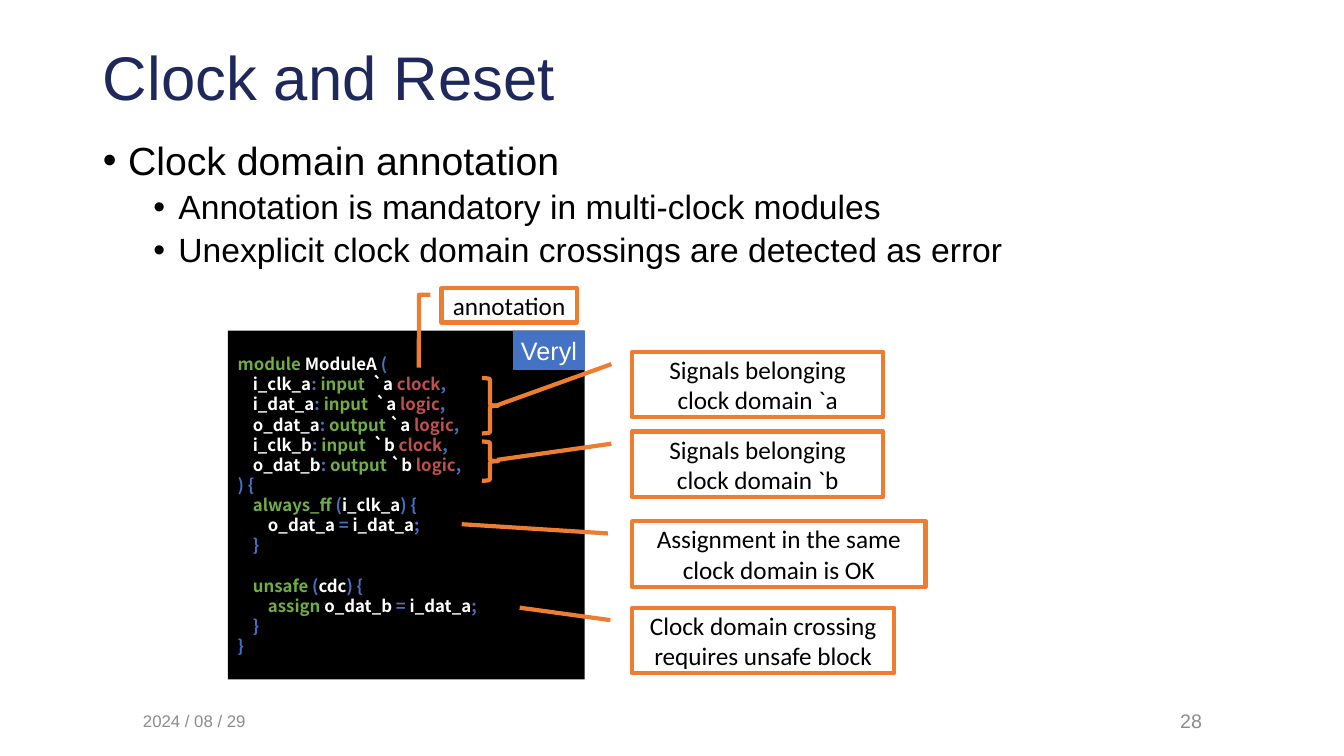
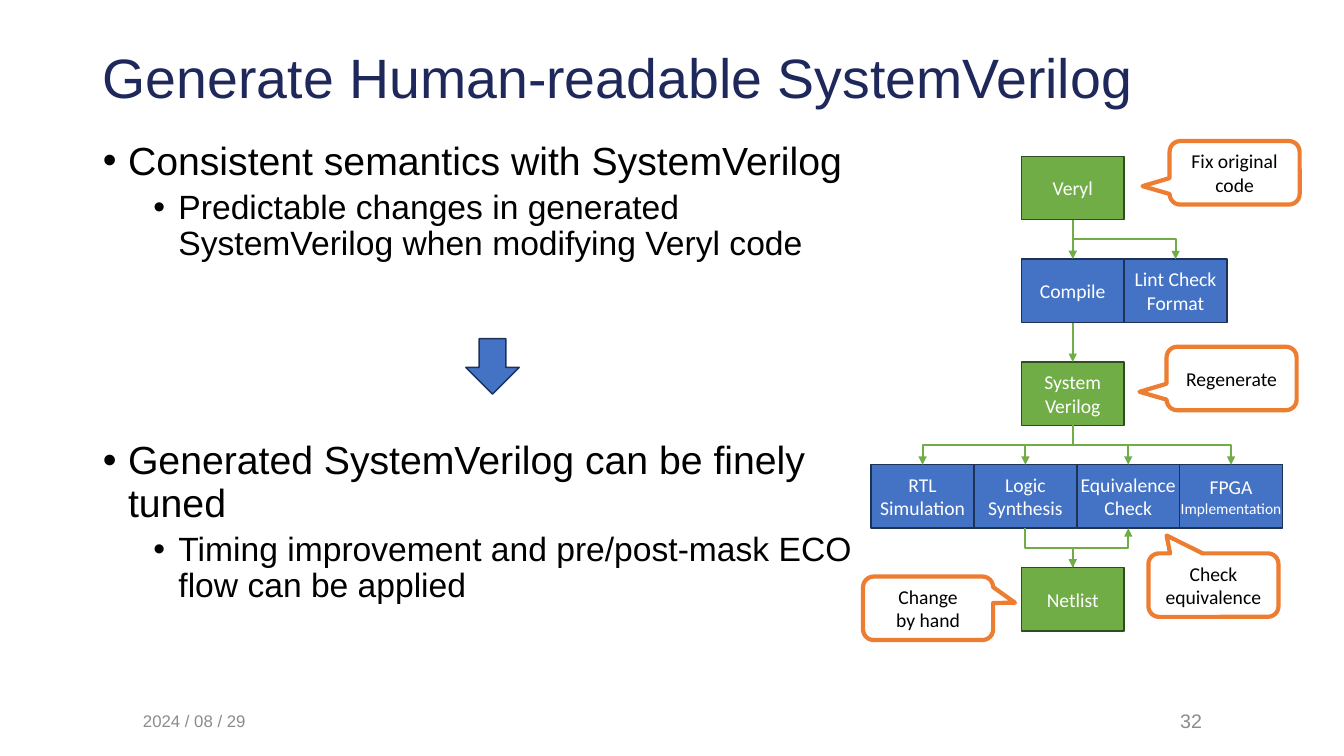
"""Build two slides on a hardware language: clock domains and generated code."""
from lxml import etree
from pptx import Presentation
from pptx.dml.color import RGBColor
from pptx.enum.shapes import MSO_CONNECTOR as CONN, MSO_SHAPE as SHAPE
from pptx.enum.text import MSO_ANCHOR as ANCHOR, MSO_AUTO_SIZE as AUTO, PP_ALIGN as ALIGN
from pptx.oxml.ns import qn
from pptx.util import Inches, Pt

NAVY = RGBColor(0x1E, 0x28, 0x5B)
BLACK = RGBColor(0, 0, 0)
WHITE = RGBColor(0xFF, 0xFF, 0xFF)
GRAY = RGBColor(0x8C, 0x8C, 0x8C)
BLUE = RGBColor(0x44, 0x72, 0xC4)
DARK_BLUE = RGBColor(0x1E, 0x32, 0x56)
GREEN = RGBColor(0x70, 0xAD, 0x47)
DARK_GREEN = RGBColor(0x31, 0x4C, 0x1F)
ORANGE = RGBColor(0xED, 0x7D, 0x31)
RED = RGBColor(0xC0, 0x50, 0x4D)

HEAD_FONT, LABEL_FONT, CODE_FONT = "Arial", "Calibri", "Noto Sans CJK JP"
DATE = "2024 / 08 / 29"
NODE_W, NODE_H, PITCH = 1.02, 0.63, 1.02
MAIN_X, STAGE_X, FLOW_Y = 10.13, 8.64, 1.55

PORTS = [("i_clk_a", "input  ", "`a ", "clock"),
         ("i_dat_a", "input  ", "`a ", "logic"),
         ("o_dat_a", "output ", "`a ", "logic"),
         ("i_clk_b", "input  ", "`b ", "clock"),
         ("o_dat_b", "output ", "`b ", "logic")]

CODE = [
    (0, 0, [("module ", GREEN), ("ModuleA ", WHITE), ("(", BLUE)]),
    *[(1, 0, [(name, WHITE), (": ", BLUE), (way, GREEN), (domain, WHITE),
              (kind, RED), (",", BLUE)]) for name, way, domain, kind in PORTS],
    (0, 0, [(") {", BLUE)]),
    (1, 0, [("always_ff ", GREEN), ("(", BLUE), ("i_clk_a", WHITE), (") {", BLUE)]),
    (2, 0, [("o_dat_a ", WHITE), ("= ", BLUE), ("i_dat_a", WHITE), (";", BLUE)]),
    (1, 0, [("}", BLUE)]),
    (1, 14.4, [("unsafe ", GREEN), ("(", BLUE), ("cdc", WHITE), (") {", BLUE)]),
    (2, 0, [("assign ", GREEN), ("o_dat_b ", WHITE), ("= ", BLUE),
            ("i_dat_a", WHITE), (";", BLUE)]),
    (1, 0, [("}", BLUE)]),
    (0, 0, [("}", BLUE)]),
]


def add_run(p, text, font, size, color, bold=False):
    """Append one formatted run to a paragraph."""
    r = p.add_run()
    r.text = text
    r.font.name, r.font.size, r.font.bold = font, Pt(size), bold
    r.font.color.rgb = color


def next_paragraph(tf, index):
    """Return the first paragraph, or a new one after it."""
    return tf.add_paragraph() if index else tf.paragraphs[0]


def set_indent(p, left, first=0):
    """Set the left margin and first-line indent of a paragraph."""
    pPr = p._p.get_or_add_pPr()
    pPr.set("marL", str(Inches(left)))
    pPr.set("indent", str(Inches(first)))
    return pPr


def place(sp, left, top, width, height):
    """Move and size a shape, in inches."""
    sp.left, sp.top = Inches(left), Inches(top)
    sp.width, sp.height = Inches(width), Inches(height)


def add_footer(slide, left, text, size, align):
    """Add one gray footer text."""
    box = slide.shapes.add_textbox(Inches(left), Inches(6.95), Inches(2.6), Inches(0.4))
    tf = box.text_frame
    tf.word_wrap, tf.vertical_anchor = True, ANCHOR.MIDDLE
    p = tf.paragraphs[0]
    p.alignment = align
    add_run(p, text, HEAD_FONT, size, GRAY)


def add_slide(prs, title, title_size, bullets, body_width, number):
    """Add a slide with title, bullet list (level, space before, text) and footers."""
    slide = prs.slides.add_slide(prs.slide_layouts[1])
    head, body = slide.placeholders
    place(head, 0.92, 0.4, 11.5, 0.8)
    place(body, 0.92, 1.35, body_width, 5.41)
    for sp in (head, body):
        sp.text_frame.auto_size = AUTO.NONE
        sp.text_frame.word_wrap = True
    head.text_frame.vertical_anchor = ANCHOR.MIDDLE
    p = head.text_frame.paragraphs[0]
    p.alignment, p.line_spacing = ALIGN.LEFT, 0.9
    add_run(p, title, HEAD_FONT, title_size, NAVY)
    for i, (level, before, text) in enumerate(bullets):
        p = next_paragraph(body.text_frame, i)
        p.level, p.line_spacing, p.space_before = level, 0.9, Pt(before)
        pPr = set_indent(p, 0.25 + 0.5 * level, -0.25)
        etree.SubElement(pPr, qn("a:buFont")).set("typeface", HEAD_FONT)
        etree.SubElement(pPr, qn("a:buChar")).set("char", "•")
        add_run(p, text, HEAD_FONT, 24 if level else 28, BLACK)
    add_footer(slide, 1.32, DATE, 12, ALIGN.LEFT)
    add_footer(slide, 9.42, number, 14, ALIGN.RIGHT)
    return slide


def add_box(slide, kind, at, fill=None, line=None, line_width=1, adjust=()):
    """Add a preset shape with optional fill, outline and adjustments."""
    sp = slide.shapes.add_shape(kind, *map(Inches, at))
    sp.shadow.inherit = False
    if fill is None:
        sp.fill.background()
    else:
        sp.fill.solid()
        sp.fill.fore_color.rgb = fill
    if line is None:
        sp.line.fill.background()
    else:
        sp.line.color.rgb, sp.line.width = line, Pt(line_width)
    for i, value in enumerate(adjust):
        sp.adjustments[i] = value
    return sp


def add_label(sp, lines, size, color, font=LABEL_FONT, wrap=False):
    """Centre text in a shape; a line is a string or a (string, size) pair."""
    tf = sp.text_frame
    tf.word_wrap, tf.vertical_anchor = wrap, ANCHOR.MIDDLE
    for i, line in enumerate(lines):
        text, line_size = (line, size) if isinstance(line, str) else line
        p = next_paragraph(tf, i)
        p.alignment = ALIGN.CENTER
        add_run(p, text, font, line_size, color)


def add_callout(slide, kind, at, adjust, lines, size, wrap=False):
    """Add a white callout with an orange outline."""
    sp = add_box(slide, kind, at, WHITE, ORANGE, 3, adjust)
    add_label(sp, lines, size, BLACK, wrap=wrap)


def add_code(slide, at):
    """Add the black panel with coloured code."""
    tf = add_box(slide, SHAPE.RECTANGLE, at, BLACK).text_frame
    tf.word_wrap, tf.vertical_anchor = True, ANCHOR.MIDDLE
    for i, (level, before, runs) in enumerate(CODE):
        p = next_paragraph(tf, i)
        p.alignment, p.space_before = ALIGN.LEFT, Pt(before)
        set_indent(p, 0.15 * level)
        for text, color in runs:
            add_run(p, text, CODE_FONT, 12, color, True)


def add_node(slide, left, row, lines, artifact=False):
    """Add a flow node: green for an artifact, blue for a tool."""
    fill, line = (GREEN, DARK_GREEN) if artifact else (BLUE, DARK_BLUE)
    at = (left, FLOW_Y + PITCH * row, NODE_W, NODE_H)
    sp = add_box(slide, SHAPE.RECTANGLE, at, fill, line)
    add_label(sp, lines, 14, WHITE)
    return sp


def style_arrow(cx):
    """Give a connector the green line and arrowhead, without shadow."""
    cx.line.color.rgb, cx.line.width = GREEN, Pt(1.5)
    etree.SubElement(cx.line._get_or_add_ln(), qn("a:tailEnd")).set("type", "triangle")
    etree.SubElement(cx._element.spPr, qn("a:effectLst"))


def add_arrow(slide, upper, lower):
    """Join two stacked nodes with a straight arrow."""
    cx = slide.shapes.add_connector(CONN.STRAIGHT, 0, 0, 0, 0)
    cx.begin_connect(upper, 2)
    cx.end_connect(lower, 0)
    style_arrow(cx)


def add_elbow(slide, source, target, upward=False):
    """Add an elbow arrow that leaves and arrives vertically."""
    x1, x2 = (sp.left + sp.width // 2 for sp in (source, target))
    if upward:
        y1, y2 = source.top, target.top + target.height
    else:
        y1, y2 = source.top + source.height, target.top
    mid_x, mid_y = (x1 + x2) // 2, (y1 + y2) // 2
    half_w, half_h = (y2 - y1) // 2, (x1 - x2) // 2
    cx = slide.shapes.add_connector(CONN.ELBOW, mid_x - half_w, mid_y - half_h,
                                    mid_x + half_w, mid_y + half_h)
    cx._element.spPr.find(qn("a:xfrm")).set("rot", "5400000")
    style_arrow(cx)


def build_clock_slide(prs):
    """Build the slide on clock domain annotation."""
    slide = add_slide(prs, "Clock and Reset", 44, [
        (0, 10, "Clock domain annotation"),
        (1, 5, "Annotation is mandatory in multi-clock modules"),
        (1, 5, "Unexplicit clock domain crossings are detected as error"),
    ], 11.5, "28")
    add_code(slide, (2.26, 3.28, 3.54, 3.46))
    tag = add_box(slide, SHAPE.RECTANGLE, (5.09, 3.28, 0.71, 0.39), BLUE)
    add_label(tag, ["Veryl"], 18, WHITE, HEAD_FONT)
    for top, height in ((3.75, 0.55), (4.38, 0.39)):
        add_box(slide, SHAPE.RIGHT_BRACE, (4.78, top, 0.16, height), None, ORANGE, 3)
    for top, width, end_y, end_x, lines in (
            (5.17, 2.91, 0.047, -0.581, ["Assignment in the same clock domain is OK"]),
            (6.03, 2.6, -0.002, -0.429, ["Clock domain crossing", "requires unsafe block"]),
            (3.49, 2.49, 0.83, -0.548, ["Signals belonging", "clock domain `a"]),
            (4.28, 2.49, 0.435, -0.539, ["Signals belonging", "clock domain `b"])):
        add_callout(slide, SHAPE.LINE_CALLOUT_1, (6.27, top, width, 0.65),
                    (0.188, -0.083, end_y, end_x), lines, 18, True)
    add_callout(slide, SHAPE.LINE_CALLOUT_2, (4.38, 2.86, 1.34, 0.34),
                (0.188, -0.083, 0.188, -0.167, 2.315, -0.169), ["annotation"], 18, True)


def build_flow_slide(prs):
    """Build the slide on the generated code and its tool flow."""
    slide = add_slide(prs, "Generate Human-readable SystemVerilog", 39.6, [
        (0, 10, "Consistent semantics with SystemVerilog"),
        (1, 5, "Predictable changes in generated SystemVerilog when modifying Veryl code"),
        (0, 127, "Generated SystemVerilog can be finely tuned"),
        (1, 5, "Timing improvement and pre/post-mask ECO flow can be applied"),
    ], 7.64, "32")
    veryl = add_node(slide, MAIN_X, 0, ["Veryl"], True)
    compiler = add_node(slide, MAIN_X, 1, ["Compile"])
    lint = add_node(slide, MAIN_X + NODE_W, 1, ["Lint Check", "Format"])
    verilog = add_node(slide, MAIN_X, 2, ["System", "Verilog"], True)
    stages = [add_node(slide, STAGE_X + NODE_W * i, 3, lines) for i, lines in enumerate((
        ["RTL", "Simulation"], ["Logic", "Synthesis"], ["Equivalence", "Check"],
        ["FPGA", ("Implementation", 11)]))]
    netlist = add_node(slide, MAIN_X, 4, ["Netlist"], True)

    add_arrow(slide, veryl, compiler)
    add_arrow(slide, compiler, verilog)
    add_elbow(slide, veryl, lint)
    for stage in stages:
        add_elbow(slide, verilog, stage)
    add_elbow(slide, stages[1], netlist)
    add_elbow(slide, netlist, stages[2], upward=True)

    for left, top, tip_x, tip_y, lines in (
            (11.6, 1.4, -0.708, 0.21, ["Fix original", "code"]),
            (11.57, 3.44, -0.708, 0.21, ["Regenerate"]),
            (11.39, 5.49, -0.36, -0.782, ["Check", "equivalence"]),
            (8.56, 5.72, 0.668, -0.088, ["Change", "by hand"])):
        add_callout(slide, SHAPE.ROUNDED_RECTANGULAR_CALLOUT, (left, top, 1.29, NODE_H),
                    (tip_x, tip_y, 0.167), lines, 14)
    add_box(slide, SHAPE.DOWN_ARROW, (4.62, 3.36, 0.53, 0.55), BLUE, DARK_BLUE)


def main():
    """Create the presentation and save it."""
    prs = Presentation()
    prs.slide_width, prs.slide_height = Inches(13.33), Inches(7.5)
    build_clock_slide(prs)
    build_flow_slide(prs)
    prs.save("out.pptx")


if __name__ == "__main__":
    main()
